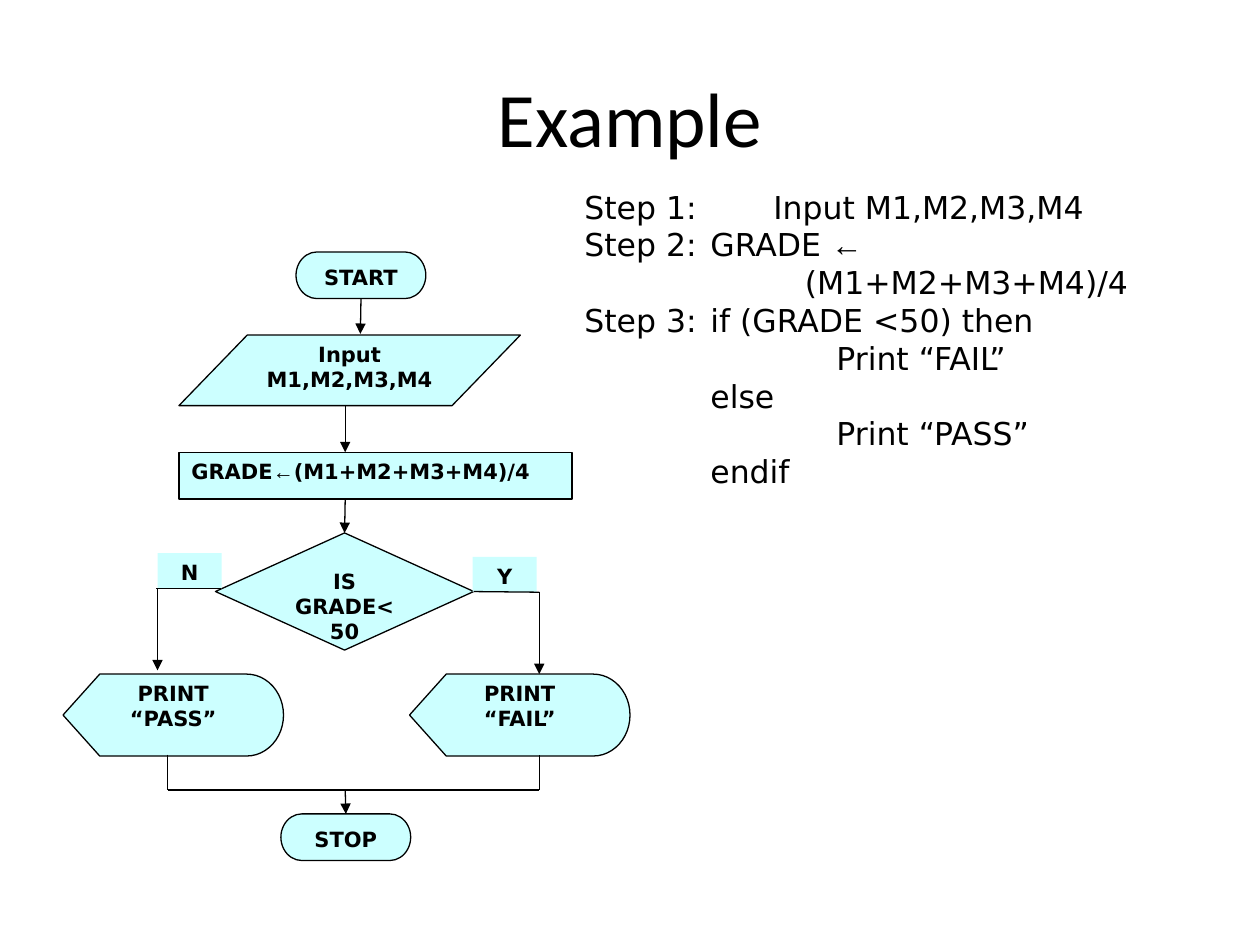
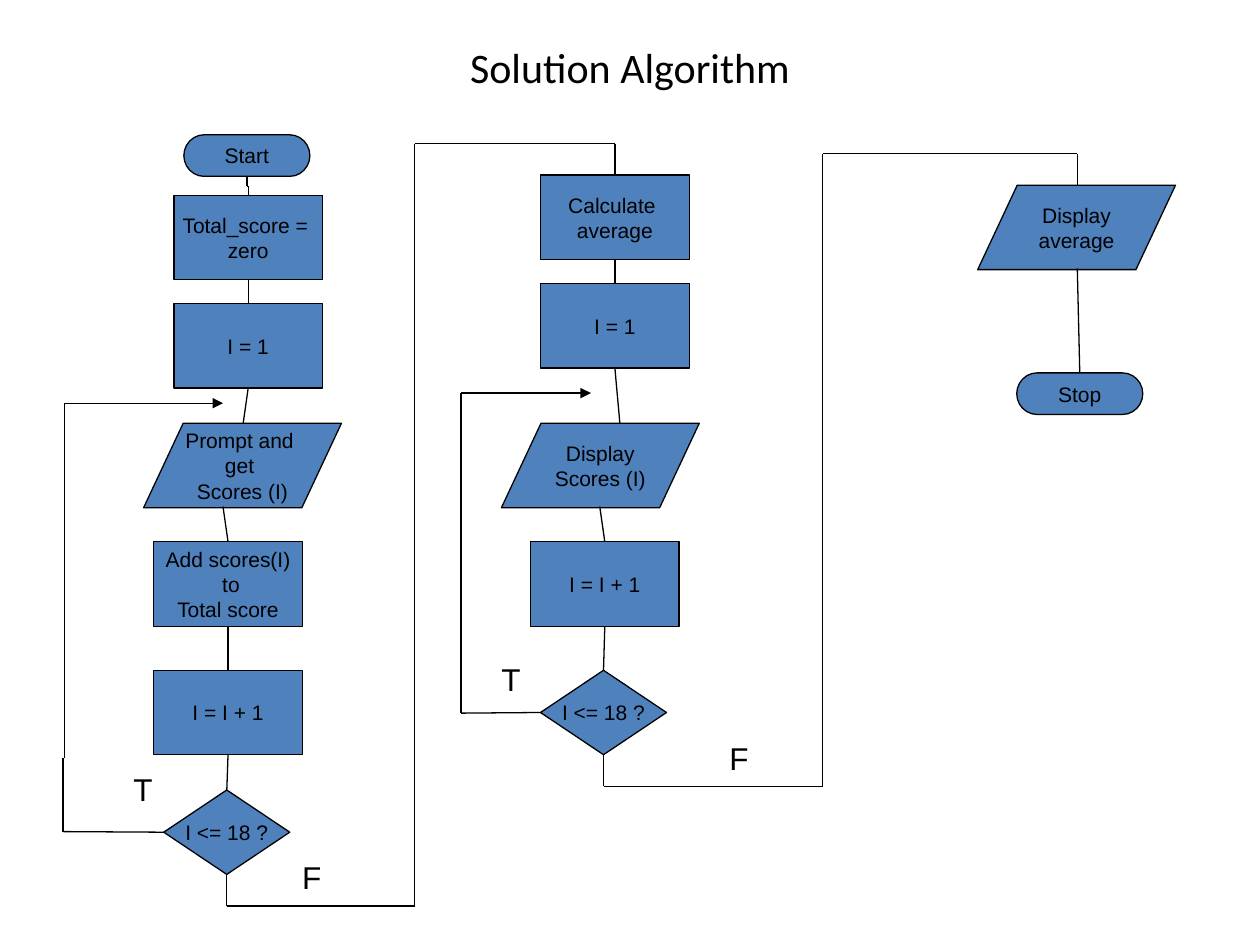
from typing import NamedTuple

from lxml.etree import SubElement
from pptx import Presentation
from pptx.dml.color import RGBColor
from pptx.enum.shapes import MSO_CONNECTOR, MSO_SHAPE as Shape
from pptx.enum.text import MSO_ANCHOR as Anchor, PP_ALIGN as Align
from pptx.oxml.ns import qn
from pptx.util import Emu, Pt

EMU_PER_PX = 9144  # 100 px to the inch
BLACK = RGBColor(0x00, 0x00, 0x00)
PALE_CYAN = RGBColor(0xCC, 0xFF, 0xFF)
STEEL_BLUE = RGBColor(0x4F, 0x81, 0xBD)
TITLE_FONT, PLAIN_FONT, WIDE_FONT = "Calibri", "Arial", "DejaVu Sans"
LINE_WIDTH = Pt(0.75)
ARROW_SIGN = "←"
TOP, LEFT, BOTTOM, RIGHT = range(4)
TAB_STOPS = (100, 200)


class Look(NamedTuple):
    fill: RGBColor
    font: str
    bold: bool
    anchor: Anchor
    wrap: bool


class Size(NamedTuple):
    width: int
    height: int


class Node(NamedTuple):
    name: str
    kind: Shape
    left: int
    top: int
    size: Size
    text: str
    align: Align = Align.CENTER
    outlined: bool = True


class Point(NamedTuple):
    x: int
    y: int


class Joint(NamedTuple):
    node: str
    side: int


class Route(NamedTuple):
    stops: tuple[Point | Joint, ...]
    arrow: bool = False


class Step(NamedTuple):
    indent: int
    text: str


GRADE_LOOK = Look(PALE_CYAN, WIDE_FONT, True, Anchor.TOP, True)
SCORE_LOOK = Look(STEEL_BLUE, PLAIN_FONT, False, Anchor.MIDDLE, False)

PILL, SCREEN, TAG = Size(103, 37), Size(175, 65), Size(51, 28)
GRADE_NODES = (
    Node("start", Shape.FLOWCHART_TERMINATOR, 235, 200, PILL, "START"),
    Node("input", Shape.FLOWCHART_DATA, 142, 266, Size(271, 56), "Input\nM1,M2,M3,M4"),
    Node("grade", Shape.FLOWCHART_PROCESS, 142, 359, Size(312, 37),
         "GRADE←(M1+M2+M3+M4)/4", Align.LEFT),
    Node("check", Shape.FLOWCHART_DECISION, 171, 423, Size(205, 93), "IS\nGRADE<50"),
    Node("pass", Shape.FLOWCHART_DISPLAY, 50, 535, SCREEN, "PRINT\n“PASS”"),
    Node("fail", Shape.FLOWCHART_DISPLAY, 325, 535, SCREEN, "PRINT\n“FAIL”"),
    Node("stop", Shape.FLOWCHART_TERMINATOR, 223, 646, PILL, "STOP"),
    Node("yes", Shape.RECTANGLE, 375, 442, TAG, "Y", outlined=False),
    Node("no", Shape.RECTANGLE, 125, 439, TAG, "N", outlined=False),
)
GRADE_ROUTES = (
    Route((Joint("start", BOTTOM), Point(286, 265)), True),
    Route((Point(274, 322), Point(274, 359)), True),
    Route((Point(274, 396), Joint("check", TOP)), True),
    Route((Joint("check", RIGHT), Point(428, 470), Point(428, 535)), True),
    Route((Point(175, 467), Point(124, 467))),
    Route((Point(125, 467), Point(125, 532)), True),
    Route((Point(133, 599), Point(133, 627), Point(428, 627), Point(428, 599))),
    Route((Point(274, 627), Joint("stop", TOP)), True),
)
STEPS = (
    Step(0, "Step 1:\t\tInput M1,M2,M3,M4"),
    Step(0, "Step 2:\tGRADE ←"),
    Step(175, "(M1+M2+M3+M4)/4"),
    Step(0, "Step 3:\tif (GRADE <50) then"),
    Step(200, "Print “FAIL”"),
    Step(100, "else"),
    Step(200, "Print “PASS”"),
    Step(100, "endif"),
)

OVAL, BLOCK, SLANT, DIAMOND = Size(100, 33), Size(118, 67), Size(157, 67), Size(100, 67)
SCORE_NODES = (
    Node("start", Shape.FLOWCHART_TERMINATOR, 146, 107, OVAL, "Start"),
    Node("total", Shape.FLOWCHART_PROCESS, 138, 155, BLOCK, "Total_score = \nzero"),
    Node("first", Shape.FLOWCHART_PROCESS, 138, 241, BLOCK, "I = 1"),
    Node("prompt", Shape.FLOWCHART_DATA, 114, 336, SLANT, "Prompt and \nget \nScores (I)"),
    Node("add", Shape.FLOWCHART_PROCESS, 122, 430, BLOCK, "Add scores(I)\n to\nTotal score"),
    Node("next", Shape.FLOWCHART_PROCESS, 122, 532, BLOCK, "I = I + 1"),
    Node("check", Shape.FLOWCHART_DECISION, 130, 627, DIAMOND, "I <= 18 ?"),
    Node("average", Shape.FLOWCHART_PROCESS, 429, 139, BLOCK, "Calculate \naverage"),
    Node("restart", Shape.FLOWCHART_PROCESS, 429, 225, BLOCK, "I = 1"),
    Node("show score", Shape.FLOWCHART_DATA, 398, 336, SLANT, "Display\nScores (I)"),
    Node("show next", Shape.FLOWCHART_PROCESS, 421, 430, BLOCK, "I = I + 1"),
    Node("show check", Shape.FLOWCHART_DECISION, 429, 532, DIAMOND, "I <= 18 ?"),
    Node("show average", Shape.FLOWCHART_DATA, 776, 147, SLANT, "Display\naverage"),
    Node("stop", Shape.FLOWCHART_TERMINATOR, 807, 296, OVAL, "Stop"),
)
SCORE_ROUTES = (
    Route((Joint("start", BOTTOM), Point(196, 148), Point(197, 148), Joint("total", TOP))),
    Route((Joint("total", BOTTOM), Joint("first", TOP))),
    Route((Joint("first", BOTTOM), Point(193, 336))),
    Route((Point(177, 402), Joint("add", TOP))),
    Route((Joint("add", BOTTOM), Joint("next", TOP))),
    Route((Joint("next", BOTTOM), Joint("check", TOP))),
    Route((Joint("check", LEFT), Point(50, 660), Point(50, 602), Point(51, 602),
           Point(51, 320), Point(177, 320)), True),
    Route((Joint("check", BOTTOM), Point(180, 719), Point(329, 719), Point(329, 114),
           Point(488, 114), Joint("average", TOP))),
    Route((Joint("average", BOTTOM), Joint("restart", TOP))),
    Route((Joint("restart", BOTTOM), Point(492, 336))),
    Route((Point(476, 402), Joint("show next", TOP))),
    Route((Joint("show next", BOTTOM), Joint("show check", TOP))),
    Route((Joint("show check", LEFT), Point(366, 566), Point(366, 312),
           Point(469, 312)), True),
    Route((Joint("show check", BOTTOM), Point(479, 624), Point(653, 624), Point(653, 122),
           Point(855, 122), Point(855, 147))),
    Route((Point(855, 213), Joint("stop", TOP))),
)
BRANCH_LABELS = (("T", 96, 606), ("F", 230, 676), ("T", 388, 519), ("F", 569, 582))


def px(*lengths: int) -> list[Emu]:
    return [Emu(length * EMU_PER_PX) for length in lengths]


def write(frame, lines, font: str, size: int, align: Align = Align.LEFT, bold: bool = False):
    """Write one paragraph a line, with the arrow sign in the plain font."""
    for number, line in enumerate(lines):
        para = frame.add_paragraph() if number else frame.paragraphs[0]
        para.alignment = align
        para.font.name = font
        para.font.size = Pt(size)
        para.font.bold = bold
        para.font.color.rgb = BLACK
        for piece in filter(None, line.partition(ARROW_SIGN)):
            span = para.add_run()
            span.text = piece
            if piece == ARROW_SIGN:
                span.font.name = PLAIN_FONT


def add_text(page, bounds, lines, font: str, size: int, align: Align = Align.LEFT,
             anchor: Anchor = Anchor.TOP, wrap: bool = True):
    frame = page.shapes.add_textbox(*px(*bounds)).text_frame
    frame.word_wrap = wrap
    frame.vertical_anchor = anchor
    write(frame, lines, font, size, align)
    return frame


def add_title(page, text: str, height: int, size: int) -> None:
    add_text(page, (50, 30, 900, height), [text], TITLE_FONT, size, Align.CENTER, Anchor.MIDDLE)


def add_node(page, node: Node, look: Look):
    box = page.shapes.add_shape(node.kind, *px(node.left, node.top, *node.size))
    box.shadow.inherit = False
    box.fill.solid()
    box.fill.fore_color.rgb = look.fill
    if node.outlined:
        box.line.color.rgb = BLACK
        box.line.width = LINE_WIDTH
    else:
        box.line.fill.background()
    frame = box.text_frame
    frame.word_wrap = look.wrap
    frame.vertical_anchor = look.anchor
    write(frame, node.text.split("\n"), look.font, 12, node.align, look.bold)
    return box


def add_segment(page, boxes, start: Point | Joint, end: Point | Joint, arrow: bool) -> None:
    ends = [stop if isinstance(stop, Point) else Point(0, 0) for stop in (start, end)]
    line = page.shapes.add_connector(MSO_CONNECTOR.STRAIGHT, *px(*ends[0], *ends[1]))
    if isinstance(start, Joint):
        line.begin_connect(boxes[start.node], start.side)
    if isinstance(end, Joint):
        line.end_connect(boxes[end.node], end.side)
    line.line.color.rgb = BLACK
    line.line.width = LINE_WIDTH
    properties = line.element.spPr
    if arrow:
        SubElement(properties.find(qn("a:ln")), qn("a:tailEnd"), type="triangle")
    SubElement(properties, qn("a:effectLst"))


def add_flowchart(page, nodes, routes, look: Look) -> None:
    boxes = {node.name: add_node(page, node, look) for node in nodes}
    for route in routes:
        last = route.stops[-1]
        for start, end in zip(route.stops, route.stops[1:]):
            add_segment(page, boxes, start, end, route.arrow and end is last)


def add_steps(page) -> None:
    frame = add_text(page, (454, 144, 546, 296), [step.text for step in STEPS], WIDE_FONT, 18)
    for para, step in zip(frame.paragraphs, STEPS):
        properties = para._p.get_or_add_pPr()
        properties.set("marL", str(step.indent * EMU_PER_PX))
        properties.set("indent", "0")
        if "\t" in step.text:
            tabs = SubElement(properties, qn("a:tabLst"))
            properties.insert(0, tabs)
            for stop in TAB_STOPS:
                SubElement(tabs, qn("a:tab"), pos=str(stop * EMU_PER_PX), algn="l")


def main() -> None:
    deck = Presentation()
    deck.slide_width, deck.slide_height = px(1000, 750)
    blank = deck.slide_layouts[6]

    grade_page = deck.slides.add_slide(blank)
    add_title(grade_page, "Example", 125, 44)
    add_flowchart(grade_page, GRADE_NODES, GRADE_ROUTES, GRADE_LOOK)
    add_steps(grade_page)

    score_page = deck.slides.add_slide(blank)
    add_title(score_page, "Solution Algorithm", 46, 24)
    add_flowchart(score_page, SCORE_NODES, SCORE_ROUTES, SCORE_LOOK)
    for letter, left, top in BRANCH_LABELS:
        add_text(score_page, (left, top, 35, 40), [letter], PLAIN_FONT, 18, wrap=False)

    deck.save("out.pptx")


if __name__ == "__main__":
    main()
